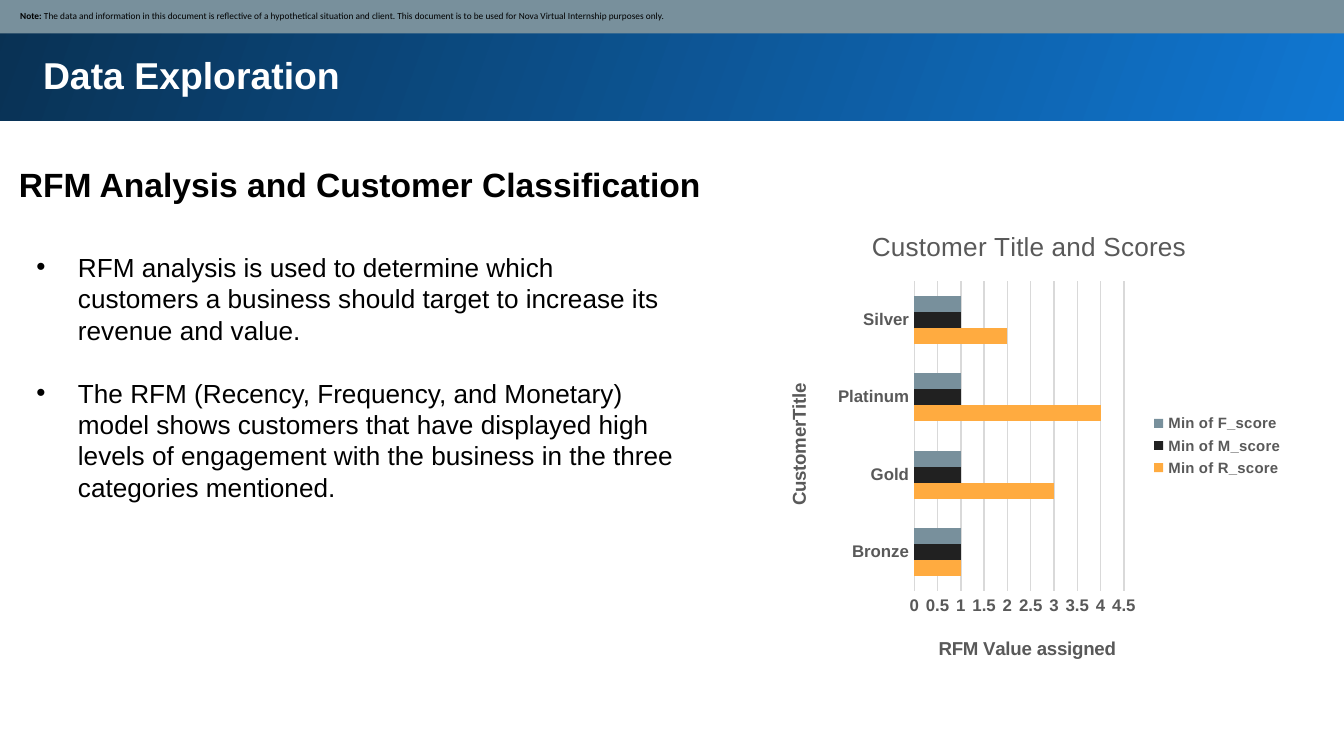
from dataclasses import dataclass
from typing import Any

from lxml.etree import SubElement
from pptx import Presentation
from pptx.chart.data import CategoryChartData
from pptx.dml.color import RGBColor
from pptx.enum.chart import XL_CHART_TYPE as ChartType
from pptx.enum.chart import XL_LEGEND_POSITION as LegendPosition
from pptx.enum.chart import XL_TICK_MARK as TickMark
from pptx.enum.shapes import MSO_SHAPE as ShapeKind
from pptx.enum.text import MSO_ANCHOR as Anchor
from pptx.enum.text import PP_ALIGN as Align
from pptx.oxml import parse_xml
from pptx.oxml.ns import nsdecls, qn
from pptx.util import Inches, Pt

COLORS = {
    "white": "FFFFFF", "black": "000000", "slate": "78909C",
    "bright": "1077D2", "navy": "093153", "orange": "FFAB40",
    "charcoal": "212121", "gray": "595959", "grid": "D9D9D9",
}


@dataclass(frozen=True)
class Style:
    size: float
    color: str
    bold: bool = False
    name: str = "Arial"


@dataclass(frozen=True)
class Box:
    left: float
    top: float
    width: float
    height: float

    def lengths(self) -> tuple:
        return tuple(map(Inches, (self.left, self.top, self.width, self.height)))


@dataclass(frozen=True)
class Score:
    name: str
    values: tuple
    color: str


SCORES = (
    Score("Min of R_score", (1, 3, 4, 2), "orange"),
    Score("Min of M_score", (1, 1, 1, 1), "charcoal"),
    Score("Min of F_score", (1, 1, 1, 1), "slate"),
)
BULLETS = (
    "RFM analysis is used to determine which customers a business should target "
    "to increase its revenue and value.",
    "The RFM (Recency, Frequency, and Monetary) model shows customers that have "
    "displayed high levels of engagement with the business in the three "
    "categories mentioned.",
)


def rgb(color: str) -> RGBColor:
    return RGBColor.from_string(COLORS[color])


def apply(target: Any, formats: dict) -> None:
    for key, value in formats.items():
        setattr(target, key, value)


def style_font(font: Any, style: Style) -> None:
    apply(font, {"size": Pt(style.size), "bold": style.bold, "name": style.name})
    font.color.rgb = rgb(style.color)


def set_frame(frame: Any, inset: float, anchor: Any = Anchor.TOP) -> None:
    margins = {f"margin_{side}": Inches(inset) for side in ("left", "top", "right", "bottom")}
    apply(frame, {"word_wrap": True, "vertical_anchor": anchor, **margins})


def write(paragraph: Any, text: str, style: Style) -> None:
    paragraph.alignment = Align.LEFT
    run = paragraph.add_run()
    run.text = text
    style_font(run.font, style)


def add_bar(slide: Any, box: Box) -> Any:
    bar = slide.shapes.add_shape(ShapeKind.RECTANGLE, *box.lengths())
    bar.shadow.inherit = False
    bar.line.fill.background()
    return bar


def add_text(slide: Any, box: Box) -> Any:
    frame = slide.shapes.add_textbox(*box.lengths()).text_frame
    set_frame(frame, 0.05)
    return frame


def add_bullet(paragraph: Any) -> None:
    properties = paragraph._p.get_or_add_pPr()
    properties.set("marL", str(Inches(0.31)))
    properties.set("indent", str(-Inches(0.31)))
    SubElement(properties, qn("a:buFont"), typeface="Arial")
    SubElement(properties, qn("a:buChar"), char="•")


def place(element: Any, index: int, **fractions: float) -> None:
    for layout in element.findall(qn("c:layout")):
        element.remove(layout)
    target = '<c:layoutTarget val="inner"/>' if "w" in fractions else ""
    modes = "".join(f'<c:{key}Mode val="edge"/>' for key in ("x", "y"))
    values = "".join(f'<c:{key} val="{value}"/>' for key, value in fractions.items())
    element.insert(index, parse_xml(
        f"<c:layout {nsdecls('c')}><c:manualLayout>{target}{modes}{values}"
        "</c:manualLayout></c:layout>"))


def set_title(owner: Any, title: Any, text: str, style: Style, x: float, y: float) -> None:
    owner.has_title = True
    paragraph = title.text_frame.paragraphs[0]
    paragraph.text = text
    style_font(paragraph.runs[0].font, style)
    place(title._element, 1, x=x, y=y)


def add_scores_chart(slide: Any, box: Box) -> None:
    data = CategoryChartData()
    data.categories = ("Bronze", "Gold", "Platinum", "Silver")
    for score in SCORES:
        data.add_series(score.name, score.values)
    chart = slide.shapes.add_chart(ChartType.BAR_CLUSTERED, *box.lengths(), data).chart
    style_font(chart.font, Style(10, "black"))
    set_title(chart, chart.chart_title, "Customer Title and Scores",
              Style(14, "gray"), 0.18, 0.03)

    plot = chart.plots[0]
    apply(plot, {"gap_width": 182, "overlap": 0, "vary_by_categories": False})
    for series, score in zip(plot.series, SCORES):
        series.format.fill.solid()
        series.format.fill.fore_color.rgb = rgb(score.color)

    category, value = chart.category_axis, chart.value_axis
    for axis, text, x, y in ((category, "CustomerTitle", 0.02, 0.36),
                             (value, "RFM Value assigned", 0.31, 0.9)):
        set_title(axis, axis.axis_title, text, Style(10, "gray", True), x, y)
        apply(axis, {"major_tick_mark": TickMark.NONE, "minor_tick_mark": TickMark.NONE})
        style_font(axis.tick_labels.font, Style(9, "gray", True))
    category.has_major_gridlines = False
    apply(value, {"minimum_scale": 0, "maximum_scale": 4.5, "major_unit": 0.5,
                  "has_major_gridlines": True})
    for line in (category.format.line, value.major_gridlines.format.line):
        line.color.rgb = rgb("grid")
        line.width = Pt(0.75)
    value.format.line.fill.background()

    chart.has_legend = True
    apply(chart.legend, {"position": LegendPosition.RIGHT, "include_in_layout": False})
    style_font(chart.legend.font, Style(8, "gray", True))
    place(chart._chartSpace.chart.plotArea, 0, x=0.27, y=0.15, w=0.4, h=0.66)


def main() -> None:
    deck = Presentation()
    apply(deck, {"slide_width": Inches(10), "slide_height": Inches(10 * 9 / 16)})
    slide = deck.slides.add_slide(deck.slide_layouts[5])

    band = add_bar(slide, Box(-0.02, -0.02, 10.05, 0.92))
    band.fill.gradient()
    band.fill.gradient_angle = 160
    for stop, color in zip(band.fill.gradient_stops, ("bright", "navy")):
        stop.color.rgb = rgb(color)

    title = slide.shapes.title
    title.element.addprevious(band.element)
    apply(title, dict(zip(("left", "top", "width", "height"),
                          Box(0.22, 0.29, 9.37, 0.51).lengths())))
    set_frame(title.text_frame, 0.1)
    write(title.text_frame.paragraphs[0], "Data Exploration", Style(20, "white", True))

    note = add_bar(slide, Box(-0.01, -0.01, 10.03, 0.26))
    note.fill.solid()
    note.fill.fore_color.rgb = rgb("slate")
    set_frame(note.text_frame, 0.05, Anchor.MIDDLE)
    note.text_frame.margin_left = Inches(0.16)
    disclaimer = note.text_frame.paragraphs[0]
    write(disclaimer, "Note: ", Style(5, "black", True, "Calibri"))
    write(disclaimer, "The data and information in this document is reflective of a "
          "hypothetical situation and client. This document is to be used for Nova "
          "Virtual Internship purposes only.", Style(5, "black", name="Calibri"))

    heading = add_text(slide, Box(0.09, 1.17, 6.05, 0.4))
    write(heading.paragraphs[0], "RFM Analysis and Customer Classification",
          Style(18, "black", True))

    body = add_text(slide, Box(0.22, 1.82, 4.89, 1.99))
    for index, text in enumerate(BULLETS):
        paragraph = body.add_paragraph() if index else body.paragraphs[0]
        add_bullet(paragraph)
        paragraph.space_before = Pt(17 if index else 0)
        write(paragraph, text, Style(14, "black"))

    add_scores_chart(slide, Box(5.75, 1.57, 3.9, 3.49))
    deck.save("out.pptx")


if __name__ == "__main__":
    main()
